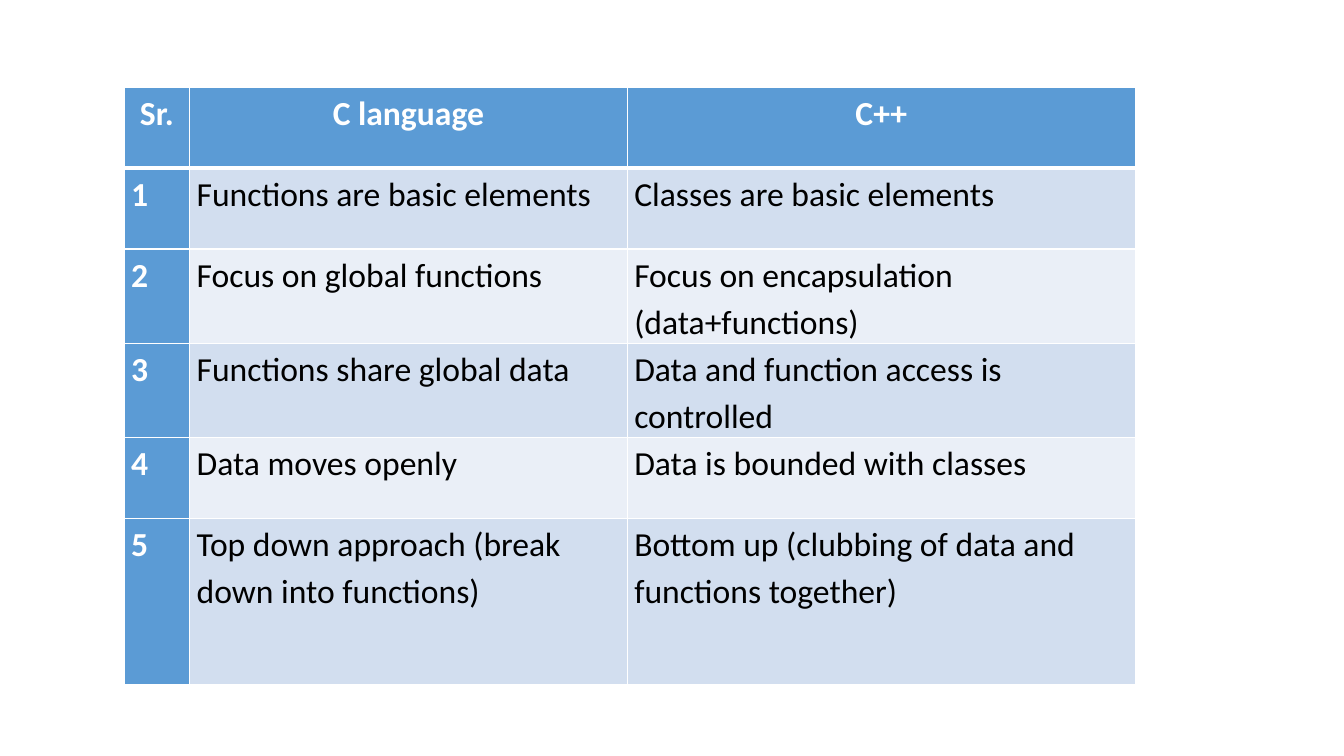
"""Build a slide with a table that compares C with C++."""
import dataclasses
import typing

import lxml.etree
import pptx
import pptx.dml.color
import pptx.enum.text
import pptx.oxml.ns
import pptx.table
import pptx.util

WIDE = pptx.util.Inches(13.33)
HIGH = pptx.util.Inches(7.5)
FONT = "Calibri"
HUES = {"head": "5B9BD5", "odd": "D2DEEF", "even": "EAEFF7", "white": "FFFFFF", "black": "000000"}
LEFT, TOP = 9.23, 11.6
COLS = (4.88, 32.56, 37.81)


@dataclasses.dataclass(frozen=True)
class Row:
    cells: tuple[str, str, str]
    share: float = 10.67


ROWS = (
    Row(("Sr.", "C language", "C++")),
    Row(("1", "Functions are basic elements", "Classes are basic elements")),
    Row(("2", "Focus on global functions", "Focus on encapsulation (data+functions)")),
    Row(("3", "Functions share global data", "Data and function access is controlled")),
    Row(("4", "Data moves openly", "Data is bounded with classes")),
    Row(("5", "Top down approach (break down into functions)",
         "Bottom up (clubbing of data and functions together)"), 22),
)


def across(share: float) -> pptx.util.Length:
    return pptx.util.Emu(round(WIDE * share / 100))


def down(share: float) -> pptx.util.Length:
    return pptx.util.Emu(round(HIGH * share / 100))


def tint(name: str) -> pptx.dml.color.RGBColor:
    return pptx.dml.color.RGBColor.from_string(HUES[name])


def write(frame: typing.Any, text: str, *, hue: str, bold: bool, mid: bool) -> None:
    align = pptx.enum.text.PP_ALIGN
    para = frame.paragraphs[0]
    para.alignment = align.CENTER if mid else align.LEFT
    para.line_spacing = 1.15
    run = para.add_run()
    run.text = text
    run.font.name = FONT
    run.font.size = pptx.util.Pt(24)
    run.font.bold = bold
    run.font.color.rgb = tint(hue)


def edge(cell: typing.Any, top: float, base: float) -> None:
    name = pptx.oxml.ns.qn
    props = cell._tc.get_or_add_tcPr()
    for side, width in (("L", 1), ("R", 1), ("T", top), ("B", base)):
        line = lxml.etree.SubElement(props, name(f"a:ln{side}"), w=str(pptx.util.Pt(width)))
        fill = lxml.etree.SubElement(line, name("a:solidFill"))
        lxml.etree.SubElement(fill, name("a:srgbClr"), val=HUES["white"])


def draw(cell: typing.Any, text: str, row: int, col: int) -> None:
    head = row == 0 or col == 0
    cell.margin_left = cell.margin_right = pptx.util.Inches(0.07)
    cell.margin_top = cell.margin_bottom = 0
    edge(cell, top=3 if row == 1 else 1, base=3 if row == 0 else 1)
    cell.fill.solid()
    cell.fill.fore_color.rgb = tint("head" if head else "odd" if row % 2 else "even")
    write(cell.text_frame, text, hue="white" if head else "black", bold=head, mid=row == 0)


def main() -> None:
    deck = pptx.Presentation()
    deck.slide_width, deck.slide_height = WIDE, HIGH
    slide = deck.slides.add_slide(deck.slide_layouts[6])
    frame = slide.shapes.add_table(
        len(ROWS), len(COLS), across(LEFT), down(TOP),
        across(sum(COLS)), down(sum(row.share for row in ROWS)))
    table = frame.table
    table.first_row = table.horz_banding = False
    for col, share in enumerate(COLS):
        table.columns[col].width = across(share)
    for row, line in enumerate(ROWS):
        table.rows[row].height = down(line.share)
        for col, text in enumerate(line.cells):
            draw(table.cell(row, col), text, row, col)
    deck.save("out.pptx")


if __name__ == "__main__":
    main()
